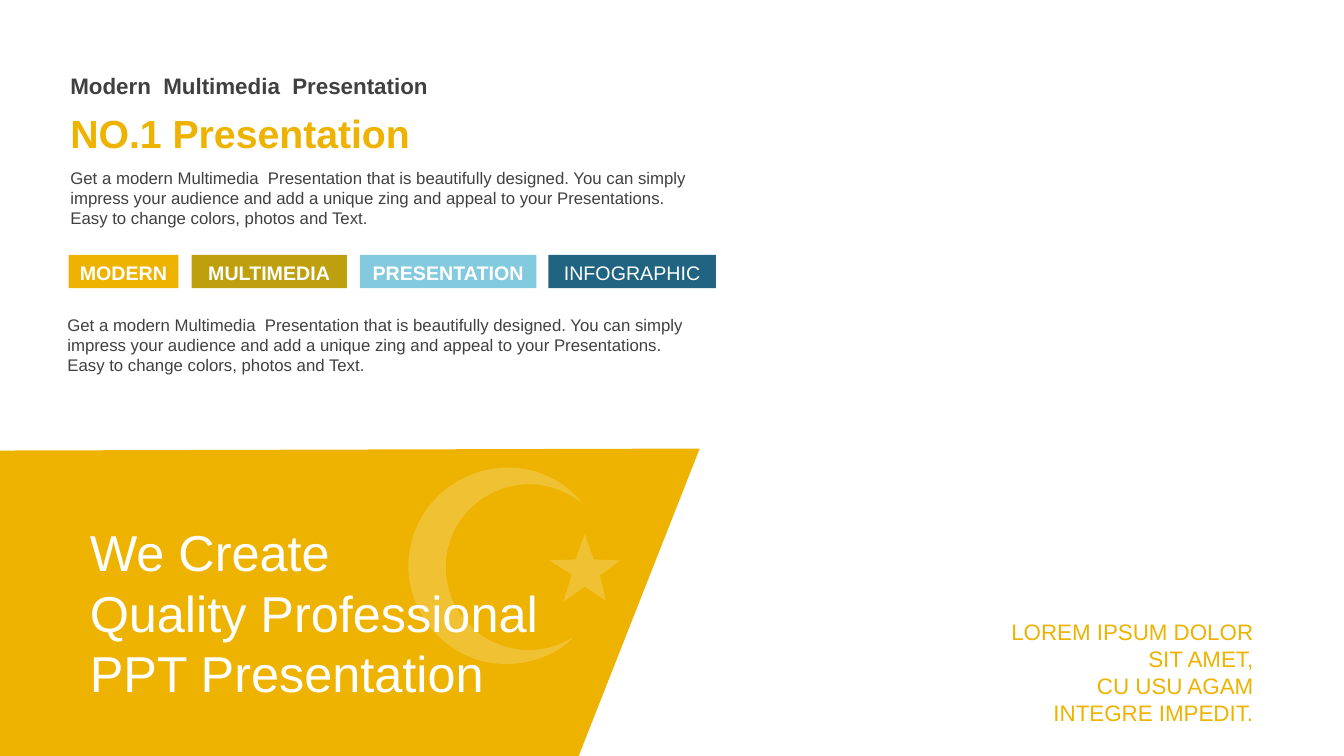
from lxml import etree
from pptx import Presentation
from pptx.dml.color import RGBColor
from pptx.enum.shapes import MSO_SHAPE
from pptx.enum.text import MSO_ANCHOR, PP_ALIGN
from pptx.oxml.ns import qn
from pptx.util import Inches, Pt

RECTANGLE = MSO_SHAPE.RECTANGLE
TOP, MIDDLE = MSO_ANCHOR.TOP, MSO_ANCHOR.MIDDLE
LEFT, CENTER, RIGHT = PP_ALIGN.LEFT, PP_ALIGN.CENTER, PP_ALIGN.RIGHT

GOLD = RGBColor(0xED, 0xB3, 0x00)
OLIVE = RGBColor(0xBE, 0xA0, 0x0E)
SKY = RGBColor(0x84, 0xCA, 0xDF)
TEAL = RGBColor(0x20, 0x64, 0x81)
GREY = RGBColor(0x40, 0x40, 0x40)
WHITE = RGBColor(0xFF, 0xFF, 0xFF)

FONT = "Arial"
INTRO = (
    "Get a modern Multimedia  Presentation that is beautifully designed. "
    "You can simply impress your audience and add a unique zing and appeal "
    "to your Presentations. Easy to change colors, photos and Text."
)
TAGS = [
    ("MODERN", 0.68, 1.09, GOLD, True),
    ("MULTIMEDIA", 1.9, 1.54, OLIVE, True),
    ("PRESENTATION", 3.57, 1.75, SKY, True),
    ("INFOGRAPHIC", 5.44, 1.66, TEAL, False),
]
BANNER = [(0, 4.47), (6.94, 4.45), (5.74, 7.5), (0, 7.5)]
STAR = [
    (5.59, 5.97), (5.67, 5.7), (5.45, 5.56), (5.71, 5.55), (5.8, 5.3),
    (5.89, 5.55), (6.15, 5.56), (5.95, 5.71), (6.01, 5.96), (5.8, 5.82),
]
CRESCENT_START = (5.78, 5)
CRESCENT_CURVES = [
    ((5.42, 4.7), (4.94, 4.77), (4.67, 5.04)),
    ((4.38, 5.32), (4.34, 5.77), (4.57, 6.1)),
    ((4.78, 6.4), (5.25, 6.59), (5.69, 6.32)),
    ((5.52, 6.51), (5.15, 6.65), (4.78, 6.56)),
    ((4.37, 6.45), (4.07, 6.08), (4.05, 5.65)),
    ((4.04, 5.23), (4.29, 4.85), (4.7, 4.7)),
    ((5.09, 4.55), (5.54, 4.68), (5.78, 5)),
]


def curve_points(start, curves, steps=16):
    """Return points along a chain of cubic Bezier curves."""
    points = [start]
    for control_1, control_2, end in curves:
        for step in range(1, steps + 1):
            t = step / steps
            points.append(tuple(
                (1 - t) ** 3 * a + 3 * (1 - t) ** 2 * t * b
                + 3 * (1 - t) * t ** 2 * c + t ** 3 * d
                for a, b, c, d in zip(start, control_1, control_2, end)
            ))
        start = end
    return points


def paint(shape, color, opacity=100):
    shape.shadow.inherit = False
    shape.line.fill.background()
    shape.fill.solid()
    shape.fill.fore_color.rgb = color
    if opacity < 100:
        color_element = shape.fill._xPr.find(qn("a:solidFill"))[0]
        alpha = etree.SubElement(color_element, qn("a:alpha"))
        alpha.set("val", str(opacity * 1000))


def add_outline(slide, points, color, opacity=100):
    corners = [(Inches(x), Inches(y)) for x, y in points]
    builder = slide.shapes.build_freeform(*corners[0])
    builder.add_line_segments(corners[1:])
    paint(builder.convert_to_shape(), color, opacity)


def write(frame, text, size, color, bold=False, align=LEFT, spacing=None):
    frame.word_wrap = True
    frame.text = text
    for paragraph in frame.paragraphs:
        paragraph.alignment = align
        paragraph.line_spacing = spacing
        for run in paragraph.runs:
            run.font.name = FONT
            run.font.size = Pt(size)
            run.font.bold = bold
            run.font.color.rgb = color


def add_text(slide, box, text, size, color, bold=False, align=LEFT, anchor=TOP):
    frame = slide.shapes.add_textbox(*map(Inches, box)).text_frame
    frame.vertical_anchor = anchor
    write(frame, text, size, color, bold, align)
    return frame


def add_tag(slide, label, left, width, color, bold):
    tag = slide.shapes.add_shape(
        RECTANGLE, Inches(left), Inches(2.53), Inches(width), Inches(0.33))
    paint(tag, color)
    frame = tag.text_frame
    frame.vertical_anchor = MIDDLE
    frame.margin_top = Inches(0.1)
    frame.margin_bottom = Inches(0.05)
    write(frame, label, 14, WHITE, bold, CENTER, 0.9)


def main():
    deck = Presentation()
    deck.slide_width, deck.slide_height = Inches(13.33), Inches(7.5)
    slide = deck.slides.add_slide(deck.slide_layouts[6])

    add_outline(slide, BANNER, GOLD)
    slogan = add_text(
        slide, (0.85, 5.16, 5.22, 1.82),
        "We Create\nQuality Professional\nPPT Presentation",
        36, WHITE, anchor=MIDDLE)
    slogan.margin_left = slogan.margin_right = Inches(0.04)
    slogan.margin_top = slogan.margin_bottom = 0

    add_text(slide, (0.6, 1.04, 6.44, 0.57), "NO.1 Presentation", 28, GOLD, True)
    add_text(slide, (0.6, 0.67, 6.44, 0.37),
             "Modern  Multimedia  Presentation", 16, GREY, True)
    add_text(slide, (0.6, 1.61, 6.44, 0.71), INTRO, 12, GREY)
    for tag in TAGS:
        add_tag(slide, *tag)
    add_text(slide, (0.57, 3.07, 6.44, 0.71), INTRO, 12, GREY)

    crescent = curve_points(CRESCENT_START, CRESCENT_CURVES)
    add_outline(slide, crescent, WHITE, 20)
    add_outline(slide, STAR, WHITE, 20)
    add_text(slide, (9.83, 6.08, 2.7, 1.18),
             "LOREM IPSUM DOLOR SIT AMET,\nCU USU AGAM INTEGRE IMPEDIT.",
             16, GOLD, align=RIGHT, anchor=MIDDLE)
    deck.save("out.pptx")


if __name__ == "__main__":
    main()
